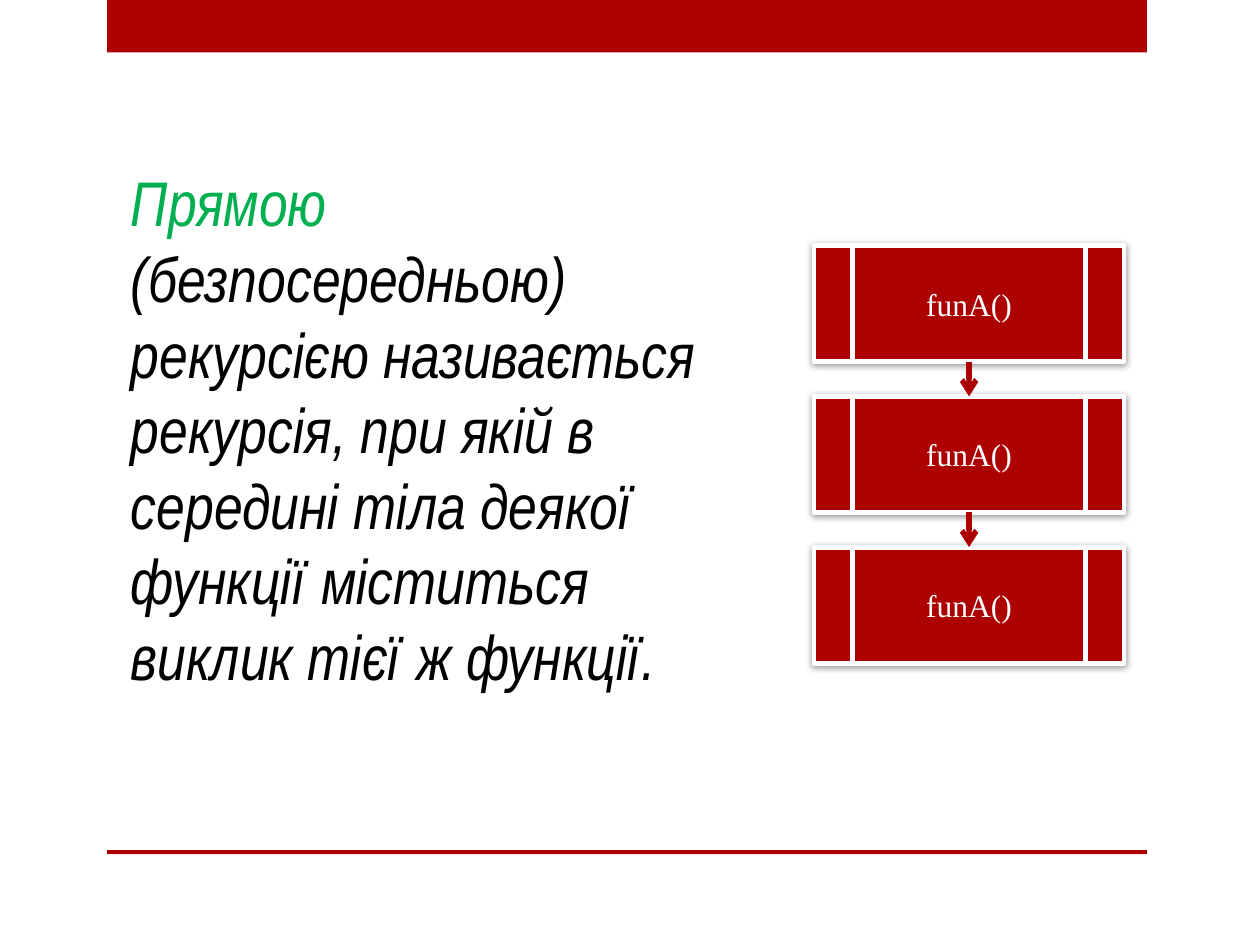
from dataclasses import dataclass
from itertools import pairwise

from lxml.etree import SubElement
from pptx import Presentation
from pptx.dml.color import RGBColor
from pptx.enum.shapes import MSO_CONNECTOR, MSO_SHAPE
from pptx.enum.text import MSO_ANCHOR, PP_ALIGN
from pptx.oxml import parse_xml
from pptx.oxml.ns import nsdecls, qn
from pptx.util import Cm, Pt


@dataclass(frozen=True)
class Theme:
    red: RGBColor = RGBColor(0xAD, 0x01, 0x01)
    green: RGBColor = RGBColor(0x00, 0xB0, 0x50)
    black: RGBColor = RGBColor(0x00, 0x00, 0x00)
    white: RGBColor = RGBColor(0xFF, 0xFF, 0xFF)
    body_font: str = "Arial Narrow"
    code_font: str = "Times New Roman"
    body_size: int = 36
    code_size: int = 18


THEME = Theme()
BOTTOM, TOP = 2, 0


def add_span(para, text, *, font, size, color, italic=False):
    span = para.add_run()
    span.text = text
    span.font.name = font
    span.font.size = Pt(size)
    span.font.color.rgb = color
    span.font.italic = italic


def add_band(page, top, height):
    band = page.shapes.add_shape(
        MSO_SHAPE.RECTANGLE, Cm(2.16), Cm(top), Cm(20.96), Cm(height))
    band.shadow.inherit = False
    band.fill.solid()
    band.fill.fore_color.rgb = THEME.red
    band.line.fill.background()


def add_definition(page):
    box = page.shapes.add_textbox(Cm(2.39), Cm(3.18), Cm(12.65), Cm(11.02))
    box.text_frame.word_wrap = True
    para = box.text_frame.paragraphs[0]
    style = {"font": THEME.body_font, "size": THEME.body_size, "italic": True}
    add_span(para, "Прямою ", color=THEME.green, **style)
    add_span(para, "(безпосередньою) рекурсією називається рекурсія, при якій "
             "в середині тіла деякої функції міститься виклик тієї ж функції.",
             color=THEME.black, **style)


def add_soft_shadow(shape):
    properties = shape._element.spPr
    for effects in properties.findall(qn("a:effectLst")):
        properties.remove(effects)
    properties.append(parse_xml(
        f'<a:effectLst {nsdecls("a")}>'
        f'<a:outerShdw blurRad="{Pt(4)}" dist="{Pt(1)}" dir="{88 * 60000}" '
        'rotWithShape="0"><a:srgbClr val="000000"><a:alpha val="40000"/>'
        '</a:srgbClr></a:outerShdw></a:effectLst>'))


def add_call(page, top):
    call = page.shapes.add_shape(
        MSO_SHAPE.FLOWCHART_PREDEFINED_PROCESS,
        Cm(16.41), Cm(top), Cm(6.25), Cm(2.34))
    call.fill.solid()
    call.fill.fore_color.rgb = THEME.red
    call.line.color.rgb = THEME.white
    call.line.width = Pt(2.75)
    add_soft_shadow(call)
    call.text_frame.vertical_anchor = MSO_ANCHOR.MIDDLE
    para = call.text_frame.paragraphs[0]
    para.alignment = PP_ALIGN.CENTER
    add_span(para, "funA()", font=THEME.code_font, size=THEME.code_size,
             color=THEME.white)
    return call


def add_arrow(page, caller, callee):
    arrow = page.shapes.add_connector(MSO_CONNECTOR.STRAIGHT, 0, 0, 0, 0)
    arrow.begin_connect(caller, BOTTOM)
    arrow.end_connect(callee, TOP)
    arrow.line.color.rgb = THEME.red
    arrow.line.width = Pt(3)
    SubElement(arrow.line._get_or_add_ln(), qn("a:tailEnd"), type="arrow")
    SubElement(arrow._element.spPr, qn("a:effectLst"))


def main():
    deck = Presentation()
    deck.slide_width, deck.slide_height = Cm(25.4), Cm(19.05)
    page = deck.slides.add_slide(deck.slide_layouts[6])

    add_band(page, top=0, height=1.06)
    add_band(page, top=17.14, height=0.08)
    add_definition(page)

    first_top, pitch = 4.95, 3.04
    calls = [add_call(page, first_top + level * pitch) for level in range(3)]
    for caller, callee in pairwise(calls):
        add_arrow(page, caller, callee)

    deck.save("out.pptx")


if __name__ == "__main__":
    main()
